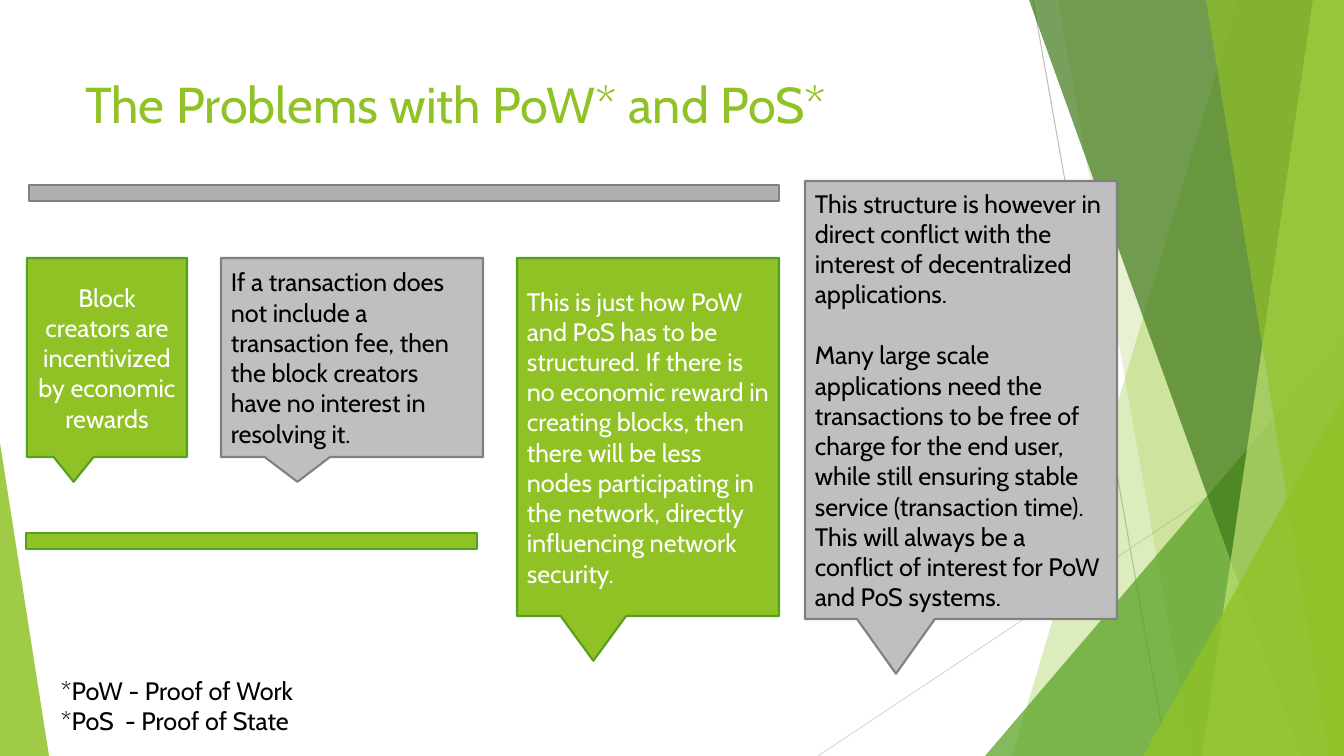
from lxml import etree
from pptx import Presentation
from pptx import util as u
from pptx.dml.color import RGBColor
from pptx.enum import shapes, text
from pptx.oxml import ns

PX = 9071
FONT = "Cabin"
HUES = {
    "lime": "90C226", "leaf": "54A021", "forest": "3F7819", "pale": "C0E474",
    "silver": "BFBFBF", "mist": "D9D9D9", "ash": "B0B0B0", "gray": "808080",
    "white": "FFFFFF", "black": "000000",
}
KIND = shapes.MSO_SHAPE
ALIGN = text.PP_ALIGN
ANCHOR = text.MSO_ANCHOR


def paint(shape, fill, edge=None, alpha=100):
    shape.shadow.inherit = False
    shape.fill.solid()
    shape.fill.fore_color.rgb = RGBColor.from_string(HUES[fill])
    if alpha < 100:
        hue = shape.fill._xPr.find(".//" + ns.qn("a:srgbClr"))
        etree.SubElement(hue, ns.qn("a:alpha"), val=str(alpha * 1000))
    if edge:
        shape.line.color.rgb = RGBColor.from_string(HUES[edge])
        shape.line.width = u.Pt(1.5)
    else:
        shape.line.fill.background()


def write(shape, words, size=18, hue="black", align=ALIGN.LEFT,
          anchor=ANCHOR.TOP, wrap=True, gap=0):
    frame = shape.text_frame
    frame.text = words
    frame.word_wrap = wrap
    frame.vertical_anchor = anchor
    for i, par in enumerate(frame.paragraphs):
        par.alignment = align
        par.space_before = u.Pt(gap if i else 0)
        par.font.size = u.Pt(size)
        for run in par.runs:
            run.font.size = u.Pt(size)
            run.font.name = FONT
            run.font.color.rgb = RGBColor.from_string(HUES[hue])


prs = Presentation()
prs.slide_width = 1344 * PX
prs.slide_height = 756 * PX
slide = prs.slides.add_slide(prs.slide_layouts[5])
items = slide.shapes

rays = [(1033, 0, 1167, 756, "silver"), (1344, 406, 818, 756, "mist")]
for *ends, hue in rays:
    ray = items.add_connector(shapes.MSO_CONNECTOR.STRAIGHT, *[n * PX for n in ends])
    ray.line.color.rgb = RGBColor.from_string(HUES[hue])
    ray.line.width = u.Pt(0.75)
    etree.SubElement(ray._element.spPr, ns.qn("a:effectLst"))

facets = [
    ("band", (1238, 1012), "lime", 30),
    ("band", (1058, 1192), "lime", 20),
    ("peak", (985, 336, 359, 420, 1), "leaf", 72),
    ("band", (1029, 1301), "forest", 70),
    ("band", (1313, 1202), "pale", 70),
    ("band", (1206, 1329), "lime", 65),
    ("peak", (1143, 396, 201, 360, 1), "lime", 80),
    ("peak", (0, 443, 49, 313, 0), "lime", 85),
]
for kind, place, hue, alpha in facets:
    if kind == "band":
        top, base = place
        pen = items.build_freeform(top, 0, scale=PX)
        pen.add_line_segments([(1344, 0), (1344, 756), (base, 756)], close=True)
        facet = pen.convert_to_shape()
    else:
        *box, tip = place
        facet = items.add_shape(KIND.ISOSCELES_TRIANGLE, *[n * PX for n in box])
        facet.adjustments[0] = tip
    paint(facet, hue, alpha=alpha)

title = items.title
title.left, title.top, title.width, title.height = [n * PX for n in (75, 68, 948, 145)]
write(title, "The Problems with PoW* and PoS*", size=36, hue="lime")

themes = {"lime": ("leaf", "white"), "silver": ("gray", "black")}
notes = [
    ((27, 258, 160, 199), "lime", ALIGN.CENTER,
     "Block creators are incentivized by economic rewards"),
    ((221, 258, 262, 199), "silver", ALIGN.LEFT,
     "If a transaction does not include a transaction fee, then the block "
     "creators have no interest in resolving it."),
    ((517, 258, 262, 358), "lime", ALIGN.LEFT,
     "This is just how PoW and PoS has to be structured. If there is no "
     "economic reward in creating blocks, then there will be less nodes "
     "participating in the network, directly influencing network security."),
    ((805, 181, 312, 438), "silver", ALIGN.LEFT,
     "This structure is however in direct conflict with the interest of "
     "decentralized applications.\n"
     "Many large scale applications need the transactions to be free of charge "
     "for the end user, while still ensuring stable service (transaction time). "
     "This will always be a conflict of interest for PoW and PoS systems."),
]
for box, fill, align, words in notes:
    edge, ink = themes[fill]
    note = items.add_shape(KIND.RECTANGULAR_CALLOUT, *[n * PX for n in box])
    paint(note, fill, edge)
    write(note, words, hue=ink, align=align, anchor=ANCHOR.MIDDLE, gap=22)

bars = [
    ((-55, 507, 613, 68), 0.24, "lime", "leaf"),
    ((-106, 170, 1020, 46), 0.36, "ash", "gray"),
]
for box, thick, fill, edge in bars:
    bar = items.add_shape(KIND.MATH_MINUS, *[n * PX for n in box])
    bar.adjustments[0] = thick
    paint(bar, fill, edge)

key = items.add_textbox(*[n * PX for n in (51, 670, 267, 72)])
write(key, "*PoW - Proof of Work\n*PoS  - Proof of State", wrap=False)

prs.save("out.pptx")
